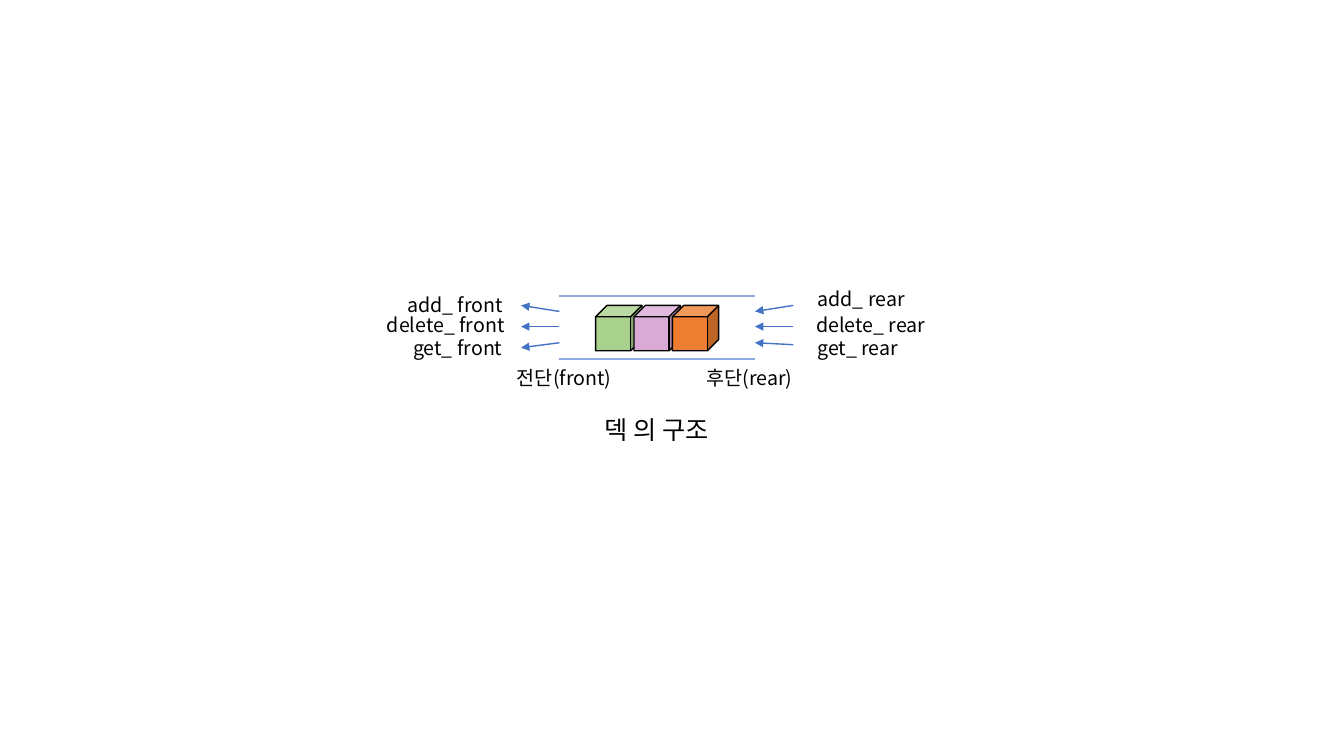
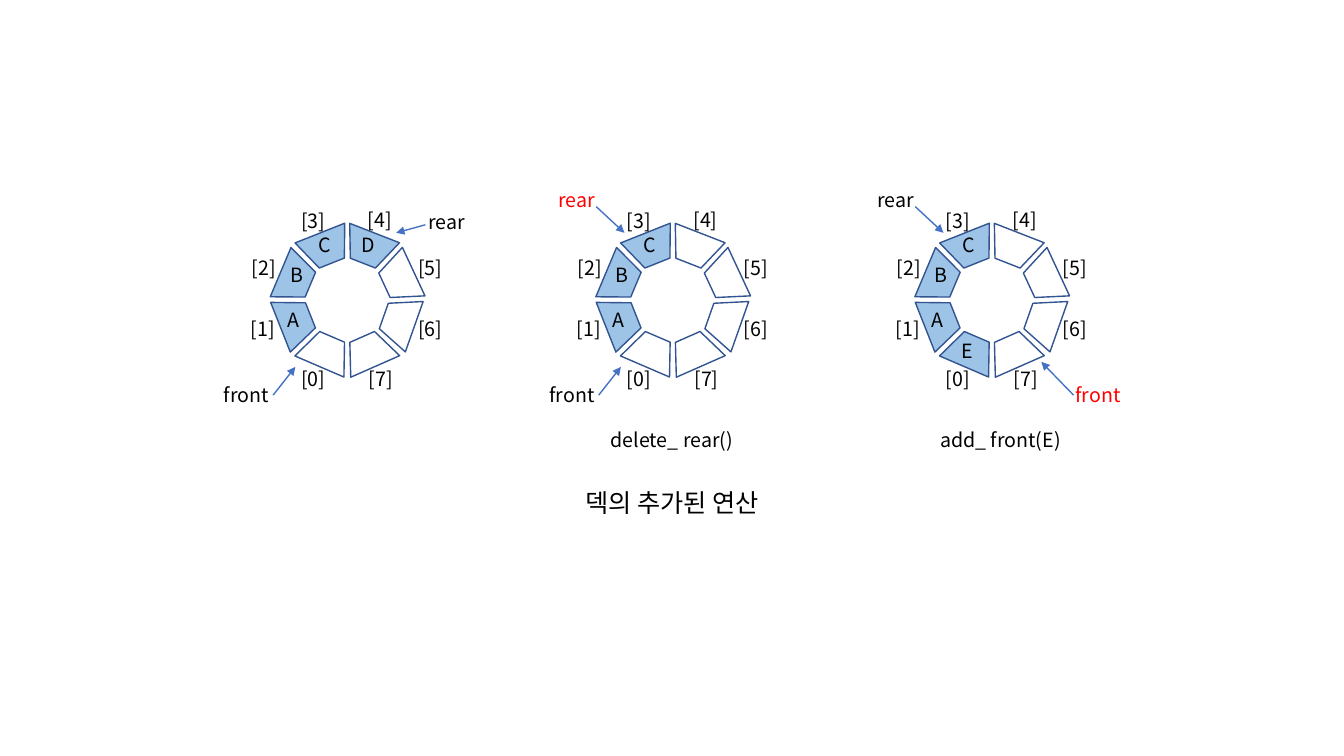
"""Two slides on the deque: its structure and its added operations."""
from math import cos, radians, sin

from pptx import Presentation, util as u
from pptx.dml.color import RGBColor
from pptx.enum import shapes, text
from pptx.oxml.ns import qn
from lxml import etree

COLORS = {
    "ink": "000000", "alert": "FF0000", "paper": "FFFFFF",
    "rail": "8FAADC", "arrow": "4472C4", "cell_edge": "325491", "filled": "9DC3E6",
    "green": "A9D18E", "violet": "DAAAD7", "orange": "ED7D31",
}
FONT = "Noto Sans CJK KR"
COLUMNS, ROWS = 133.33, 75  # the grid that all lengths below are given in
UNIT = u.Inches(0.1)
LABEL_HEIGHT, CAPTION_HEIGHT = 3.4, 4
CENTER, LEFT = text.PP_ALIGN.CENTER, text.PP_ALIGN.LEFT

# Ring slots run clockwise from the lower left: rotation, index offset, letter offset.
SLOTS = [
    (23.3, (-3.35, 7.85), (-2.15, 5.05)),
    (68.4, (-8.35, 2.85), (-5.1, 2.05)),
    (112.8, (-8.25, -3.15), (-4.8, -2.45)),
    (158.3, (-3.35, -7.85), (-2, -5.45)),
    (201.3, (3.25, -7.95), (2.3, -5.45)),
    (245, (8.25, -3.15), None),
    (289.4, (8.25, 2.85), None),
    (336.2, (3.35, 7.85), None),
]
# Word centre, arrow start and arrow end, from the ring's centre.
POINTERS = {
    ("front", 0): ((-10, 9.45), (-7.35, 9.45), (-5.15, 6.65)),
    ("front", 7): ((10.55, 9.45), (8.1, 9.45), (4.9, 6.15)),
    ("rear", 3): ((-9.55, -9.85), (-7.6, -9.25), (-4.8, -6.65)),
    ("rear", 4): ((9.85, -7.75), (7.75, -7.45), (4.85, -6.65)),
}
WORD_WIDTHS = {"front": 10.3, "rear": 7.8}
RING_ROW, RING_RADIUS = 29.75, 5.56
CELL_WIDTH, CELL_HEIGHT = 5.3, 3.2
RINGS = [
    {"column": 34.45, "letters": {1: "A", 2: "B", 3: "C", 4: "D"}, "white": {0, 5, 6, 7},
     "pointers": [("front", 0, "ink"), ("rear", 4, "ink")], "operation": None},
    {"column": 66.75, "letters": {1: "A", 2: "B", 3: "C"}, "white": {0},
     "pointers": [("front", 0, "ink"), ("rear", 3, "alert")],
     "operation": ("delete_ rear()", 66.65)},
    {"column": 98.4, "letters": {0: "E", 1: "A", 2: "B", 3: "C"}, "white": set(),
     "pointers": [("front", 7, "alert"), ("rear", 3, "ink")],
     "operation": ("add_ front(E)", 99.25)},
]

RAIL_ENDS, RAIL_ROWS = (55.5, 74.9), (29.4, 35.6)
FRONT_TIP, REAR_START = 51.7, 78.7
FRONT_ARROWS = [(30.9, 30.3), (32.4, 32.4), (34, 34.5)]
REAR_ARROWS = [(30.3, 30.9), (32.4, 32.4), (34.2, 34)]
STRUCTURE_LABELS = [
    ("add_ front", 39.4, 28.6, 14.7), ("delete_ front", 37.4, 30.6, 14.7),
    ("get_ front", 40, 32.8, 12.1), ("add_ rear", 80.1, 28, 14.7),
    ("delete_ rear", 80, 30.6, 14.7), ("get_ rear", 80.1, 32.8, 12.1),
    ("전단(front)", 50.3, 35.8, 12.6), ("후단(rear)", 69.1, 35.8, 12.6),
]


def grid(*lengths):
    """Turn grid lengths into EMU."""
    return [round(length * UNIT) for length in lengths]


def rgb(color):
    """Look up a named colour."""
    return RGBColor.from_string(COLORS[color])


def shift(center, offset):
    """Move a point by an offset."""
    return center[0] + offset[0], center[1] + offset[1]


def add_label(slide, words, left, top, width, height=LABEL_HEIGHT,
              size=14, color="ink", align=LEFT):
    """Add one line of text."""
    label = slide.shapes.add_textbox(*grid(left, top, width, height))
    frame = label.text_frame
    frame_format = {"word_wrap": True, "auto_size": text.MSO_AUTO_SIZE.SHAPE_TO_FIT_TEXT}
    for name, value in frame_format.items():
        setattr(frame, name, value)
    paragraph = frame.paragraphs[0]
    paragraph.alignment = align
    run = paragraph.add_run()
    run.text = words
    for name, value in {"size": u.Pt(size), "name": FONT}.items():
        setattr(run.font, name, value)
    run.font.color.rgb = rgb(color)
    east_asian = etree.SubElement(run.font._element, qn("a:ea"))
    east_asian.set("typeface", FONT)


def add_centered(slide, words, center, width, **style):
    """Add a label around a point."""
    height = style.get("height", LABEL_HEIGHT)
    style.setdefault("align", CENTER)
    add_label(slide, words, center[0] - width / 2, center[1] - height / 2, width, **style)


def add_caption(slide, words, center):
    """Add the caption that names the figure."""
    add_centered(slide, words, center, 43.1, height=CAPTION_HEIGHT, size=18)


def add_line(slide, start, end, color="arrow", weight=1, arrow=True):
    """Draw a line, with an arrowhead at its end if wanted."""
    line = slide.shapes.add_connector(shapes.MSO_CONNECTOR.STRAIGHT, *grid(*start, *end))
    line.line.color.rgb = rgb(color)
    line.line.width = u.Pt(weight)
    properties = line._element.spPr
    if arrow:
        head = etree.SubElement(properties.find(qn("a:ln")), qn("a:tailEnd"))
        head.set("type", "triangle")
    etree.SubElement(properties, qn("a:effectLst"))


def add_block(slide, kind, box, fill, edge):
    """Add an outlined preset shape; no fill when fill is None."""
    block = slide.shapes.add_shape(kind, *grid(*box))
    block.shadow.inherit = False
    if fill:
        block.fill.solid()
        block.fill.fore_color.rgb = rgb(fill)
    else:
        block.fill.background()
    block.line.color.rgb = rgb(edge)
    block.line.width = u.Pt(1)
    return block


def add_cell(slide, center, slot, fill):
    """Add one trapezoid of a ring."""
    angle = radians(22.5 + 45 * slot)
    x, y = shift(center, (-RING_RADIUS * sin(angle), RING_RADIUS * cos(angle)))
    box = (x - CELL_WIDTH / 2, y - CELL_HEIGHT / 2, CELL_WIDTH, CELL_HEIGHT)
    cell = add_block(slide, shapes.MSO_SHAPE.TRAPEZOID, box, fill, "cell_edge")
    cell.adjustments[0] = 0.41
    cell.rotation = SLOTS[slot][0]


def add_ring(slide, ring):
    """Add a circular queue with its indices, letters and pointers."""
    center = ring["column"], RING_ROW
    letters = ring["letters"]
    for slot, (_, index_offset, letter_offset) in enumerate(SLOTS):
        fill = "filled" if slot in letters else "paper" if slot in ring["white"] else None
        add_cell(slide, center, slot, fill)
        add_centered(slide, f"[{slot}]", shift(center, index_offset), 5.6)
        if slot in letters:
            add_centered(slide, letters[slot], shift(center, letter_offset), 3.7, align=LEFT)
    for word, slot, color in ring["pointers"]:
        middle, start, end = (shift(center, offset) for offset in POINTERS[word, slot])
        add_centered(slide, word, middle, WORD_WIDTHS[word], color=color)
        add_line(slide, start, end)
    if ring["operation"]:
        operation, column = ring["operation"]
        add_centered(slide, operation, (column, 43.7), 25.9)


def build_structure(slide):
    """Show the deque as a channel that is open at both ends."""
    front, rear = RAIL_ENDS
    for row in RAIL_ROWS:
        add_line(slide, (front, row), (rear, row), "rail", 1.5, arrow=False)
    for place, color in enumerate(("green", "violet", "orange")):
        box = (59.1 + 3.8 * place, 30.3, 4.6, 4.5)
        add_block(slide, shapes.MSO_SHAPE.CUBE, box, color, "ink")
    for start, end in FRONT_ARROWS:
        add_line(slide, (front, start), (FRONT_TIP, end))
    for start, end in REAR_ARROWS:
        add_line(slide, (REAR_START, start), (rear, end))
    for label in STRUCTURE_LABELS:
        add_label(slide, *label)
    add_caption(slide, "덱 의 구조", (65.15, 42.6))


def build_operations(slide):
    """Show the ring before and after each added operation."""
    for ring in RINGS:
        add_ring(slide, ring)
    add_caption(slide, "덱의 추가된 연산", (66.65, 49.9))


def main():
    """Build and save both slides."""
    deck = Presentation()
    deck.slide_width, deck.slide_height = grid(COLUMNS, ROWS)
    blank = deck.slide_layouts[6]
    for build in (build_structure, build_operations):
        build(deck.slides.add_slide(blank))
    deck.save("out.pptx")


main()
